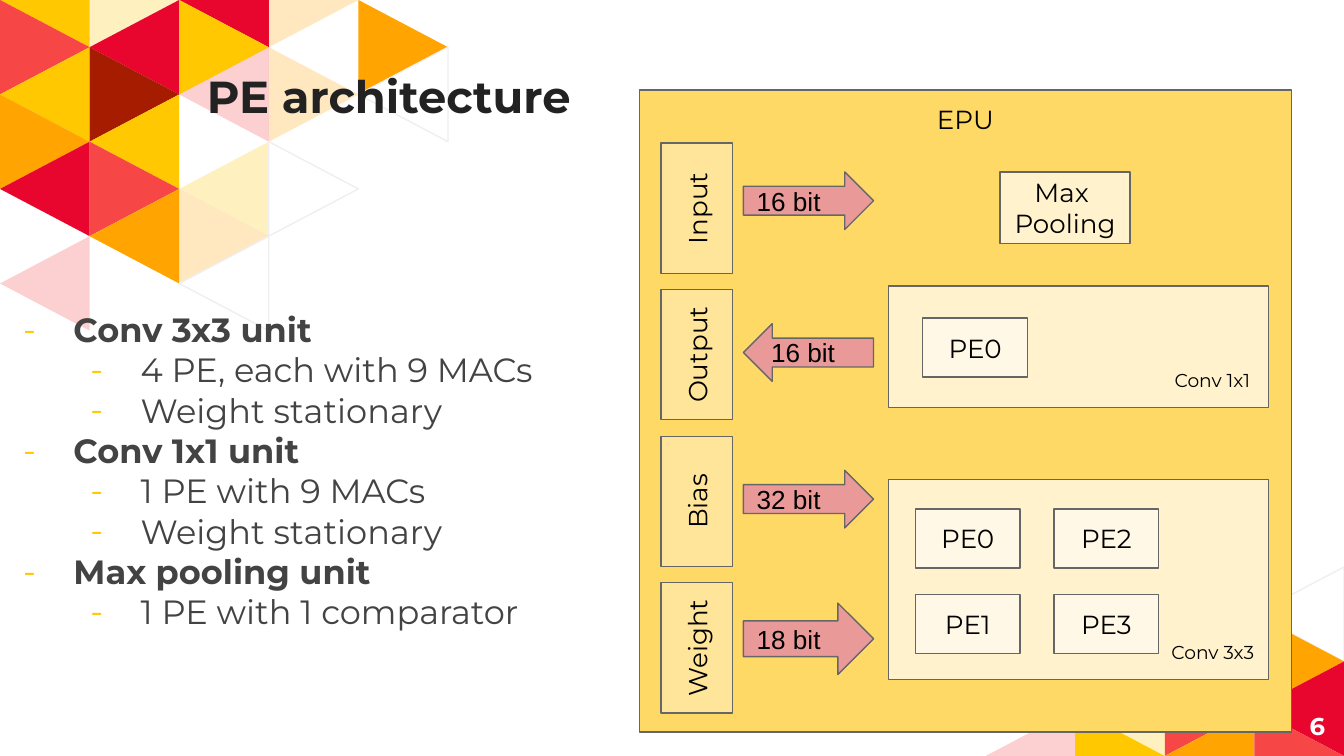
from dataclasses import dataclass

import lxml.etree
import pptx
import pptx.dml.color
import pptx.enum.shapes
import pptx.enum.text
import pptx.oxml.ns
import pptx.util
from pptx.util import Cm

Geometry = pptx.enum.shapes.MSO_SHAPE
Align = pptx.enum.text.PP_ALIGN
Anchor = pptx.enum.text.MSO_ANCHOR
qn = pptx.oxml.ns.qn

COLORS = {
    "orange": "FFA400", "yellow": "FFC800", "coral": "F64646", "red": "E8062F",
    "brown": "A61C00", "white": "FFFFFF", "pale line": "EFEFEF",
    "title": "222222", "body": "434343", "black": "000000", "line": "666666",
    "epu": "FFD966", "buffer": "FFE599", "unit": "FFF2CC", "arrow": "EA9999",
}

# The triangles on both corners share one grid that spans the slide.
WIDTH, HEIGHT = 25.4, 14.29
COLUMNS, ROWS = 15, 16


@dataclass
class Box:
    left: float
    top: float
    width: float
    height: float


@dataclass
class Style:
    size: float = 14
    color: str = "black"
    bold: bool = False
    font: str = "Montserrat"
    align: Align = Align.CENTER
    anchor: Anchor = Anchor.MIDDLE


@dataclass
class Triangle:
    column: int
    row: int
    color: str
    opacity: int = 100


@dataclass
class Transfer:
    buffer: str
    width_label: str
    top: float
    height: float = 1.09
    geometry: Geometry = Geometry.RIGHT_ARROW


TOP_TRIANGLES = [
    Triangle(0, 0, "yellow"), Triangle(0, 1, "coral"), Triangle(0, 2, "yellow"),
    Triangle(0, 3, "orange"), Triangle(0, 4, "red"), Triangle(0, 6, "coral", 25),
    Triangle(1, 0, "yellow", 25), Triangle(1, 1, "red"), Triangle(1, 2, "brown"),
    Triangle(1, 3, "yellow"), Triangle(1, 4, "coral"), Triangle(1, 5, "orange"),
    Triangle(2, 0, "red"), Triangle(2, 1, "yellow"), Triangle(2, 2, "coral", 25),
    Triangle(2, 4, "yellow", 25), Triangle(2, 5, "orange", 25), Triangle(2, 6, "white"),
    Triangle(3, 0, "orange", 25), Triangle(3, 2, "orange", 25), Triangle(3, 4, "white"),
    Triangle(4, 1, "orange"), Triangle(4, 2, "white"),
]
BOTTOM_TRIANGLES = [
    Triangle(11, 16, "coral", 25), Triangle(12, 15, "yellow", 25),
    Triangle(12, 16, "yellow"), Triangle(13, 15, "coral"), Triangle(13, 16, "orange"),
    Triangle(14, 13, "white"), Triangle(14, 14, "orange"), Triangle(14, 15, "red"),
    Triangle(14, 16, "coral"),
]
TRANSFERS = [
    Transfer("Input", "16 bit", 3.25),
    Transfer("Output", "16 bit", 6.12, geometry=Geometry.LEFT_ARROW),
    Transfer("Bias", "32 bit", 8.89),
    Transfer("Weight", "18 bit", 11.4, 1.35),
]
UNITS = {
    "Conv 3x3 unit": ["4 PE, each with 9 MACs", "Weight stationary"],
    "Conv 1x1 unit": ["1 PE with 9 MACs", "Weight stationary"],
    "Max pooling unit": ["1 PE with 1 comparator"],
}


def rgb(name: str) -> pptx.dml.color.RGBColor:
    return pptx.dml.color.RGBColor.from_string(COLORS[name])


def paint(shape, fill: str, line: str | None, opacity: int = 100) -> None:
    shape.shadow.inherit = False
    shape.fill.solid()
    shape.fill.fore_color.rgb = rgb(fill)
    if opacity < 100:
        color = shape.element.spPr.find(qn("a:solidFill")).find(qn("a:srgbClr"))
        lxml.etree.SubElement(color, qn("a:alpha"), val=str(opacity * 1000))
    if line:
        shape.line.color.rgb = rgb(line)
        shape.line.width = pptx.util.Pt(0.75)
    else:
        shape.line.fill.background()


def draw_triangles(slide, triangles: list[Triangle], right_parity: int) -> None:
    """Point a triangle right if column + row has the given parity, else left."""
    def point(column: int, row: int) -> tuple[int, int]:
        row = min(max(row, 0), ROWS)
        return Cm(WIDTH * column / COLUMNS), Cm(HEIGHT * row / ROWS)

    for triangle in triangles:
        base, tip = triangle.column, triangle.column + 1
        if (triangle.column + triangle.row) % 2 != right_parity:
            base, tip = tip, base
        builder = slide.shapes.build_freeform(*point(base, triangle.row - 1))
        builder.add_line_segments([point(base, triangle.row + 1), point(tip, triangle.row)])
        outline = "pale line" if triangle.color == "white" else None
        paint(builder.convert_to_shape(), triangle.color, outline, triangle.opacity)


def prepare_frame(shape, anchor: Anchor):
    frame = shape.text_frame
    frame.word_wrap = True
    frame.vertical_anchor = anchor
    frame.margin_left = frame.margin_right = Cm(0.25)
    frame.margin_top = frame.margin_bottom = Cm(0.25)
    return frame


def add_run(paragraph, text: str, style: Style) -> None:
    paragraph.alignment = style.align
    run = paragraph.add_run()
    run.text = text
    run.font.name = style.font
    run.font.size = pptx.util.Pt(style.size)
    run.font.bold = style.bold
    run.font.color.rgb = rgb(style.color)


def write(shape, lines: list[str], style: Style) -> None:
    frame = prepare_frame(shape, style.anchor)
    for index, line in enumerate(lines):
        add_run(frame.add_paragraph() if index else frame.paragraphs[0], line, style)


def add_label(slide, box: Box, text: str, style: Style) -> None:
    write(add_textbox(slide, box), [text], style)


def add_textbox(slide, box: Box):
    return slide.shapes.add_textbox(Cm(box.left), Cm(box.top), Cm(box.width), Cm(box.height))


def add_block(slide, box: Box, fill: str, lines: list[str], style: Style = Style(),
              geometry: Geometry = Geometry.RECTANGLE, opacity: int = 100):
    shape = slide.shapes.add_shape(
        geometry, Cm(box.left), Cm(box.top), Cm(box.width), Cm(box.height))
    paint(shape, fill, "line", opacity)
    write(shape, lines, style)
    return shape


def add_processing_element(slide, left: float, top: float, number: int) -> None:
    add_block(slide, Box(left, top, 1.98, 1.12), "white", [f"PE{number}"], opacity=52)


def add_dash(paragraph, level: int) -> None:
    paragraph.level = level
    properties = paragraph._p.get_or_add_pPr()
    properties.set("marL", str(Cm(1.27 * (level + 1))))
    properties.set("indent", str(-Cm(0.95)))
    color = lxml.etree.SubElement(properties, qn("a:buClr"))
    lxml.etree.SubElement(color, qn("a:srgbClr"), val=COLORS["yellow"])
    lxml.etree.SubElement(properties, qn("a:buFont"), typeface="Montserrat")
    lxml.etree.SubElement(properties, qn("a:buChar"), char="-")


def add_unit_list(slide) -> None:
    frame = prepare_frame(add_textbox(slide, Box(-0.13, 5.59, 11.2, 8.7)), Anchor.TOP)
    entries = [(level, text) for unit, details in UNITS.items()
               for level, text in [(0, unit), *((1, detail) for detail in details)]]
    for index, (level, text) in enumerate(entries):
        paragraph = frame.add_paragraph() if index else frame.paragraphs[0]
        add_run(paragraph, text, Style(18, "body", level == 0, align=Align.LEFT))
        add_dash(paragraph, level)


def add_epu_diagram(slide) -> None:
    add_block(slide, Box(12.09, 1.7, 12.32, 12.14), "epu", [])
    add_label(slide, Box(13.28, 1.7, 9.93, 1.12), "EPU", Style(anchor=Anchor.TOP))
    add_block(slide, Box(18.9, 3.25, 2.46, 1.35), "unit", ["Max ", "Pooling"])

    for index, transfer in enumerate(TRANSFERS):
        buffer = add_block(slide, Box(11.94, 3.26 + 2.77 * index, 2.46, 1.35),
                           "buffer", [transfer.buffer])
        buffer.rotation = 270
        add_block(slide, Box(14.05, transfer.top, 2.46, transfer.height), "arrow",
                  [transfer.width_label], Style(font="Arial", align=Align.LEFT),
                  transfer.geometry)

    caption = Style(10, align=Align.LEFT, anchor=Anchor.TOP)
    add_block(slide, Box(16.79, 5.41, 7.19, 2.29), "unit", [])
    add_processing_element(slide, 17.44, 6.01, 0)
    add_label(slide, Box(21.95, 6.76, 2.31, 0.94), "Conv 1x1", caption)

    add_block(slide, Box(16.79, 9.06, 7.19, 3.79), "unit", [])
    for number in range(4):
        column, row = divmod(number, 2)
        add_processing_element(slide, 17.3 + 2.62 * column, 9.62 + 1.62 * row, number)
    add_label(slide, Box(21.89, 11.91, 2.31, 0.94), "Conv 3x3", caption)


def main() -> None:
    presentation = pptx.Presentation()
    presentation.slide_width, presentation.slide_height = Cm(WIDTH), Cm(HEIGHT)
    slide = presentation.slides.add_slide(presentation.slide_layouts[6])
    draw_triangles(slide, TOP_TRIANGLES, right_parity=1)
    draw_triangles(slide, BOTTOM_TRIANGLES, right_parity=0)
    add_label(slide, Box(3.66, 0.71, 17.93, 1.85), "PE architecture",
              Style(24, "title", True, align=Align.LEFT, anchor=Anchor.BOTTOM))
    add_epu_diagram(slide)
    add_unit_list(slide)
    add_label(slide, Box(23.77, 13.18, 1.52, 1.09), "6",
              Style(13, "white", True, align=Align.RIGHT))
    presentation.save("out.pptx")


if __name__ == "__main__":
    main()
